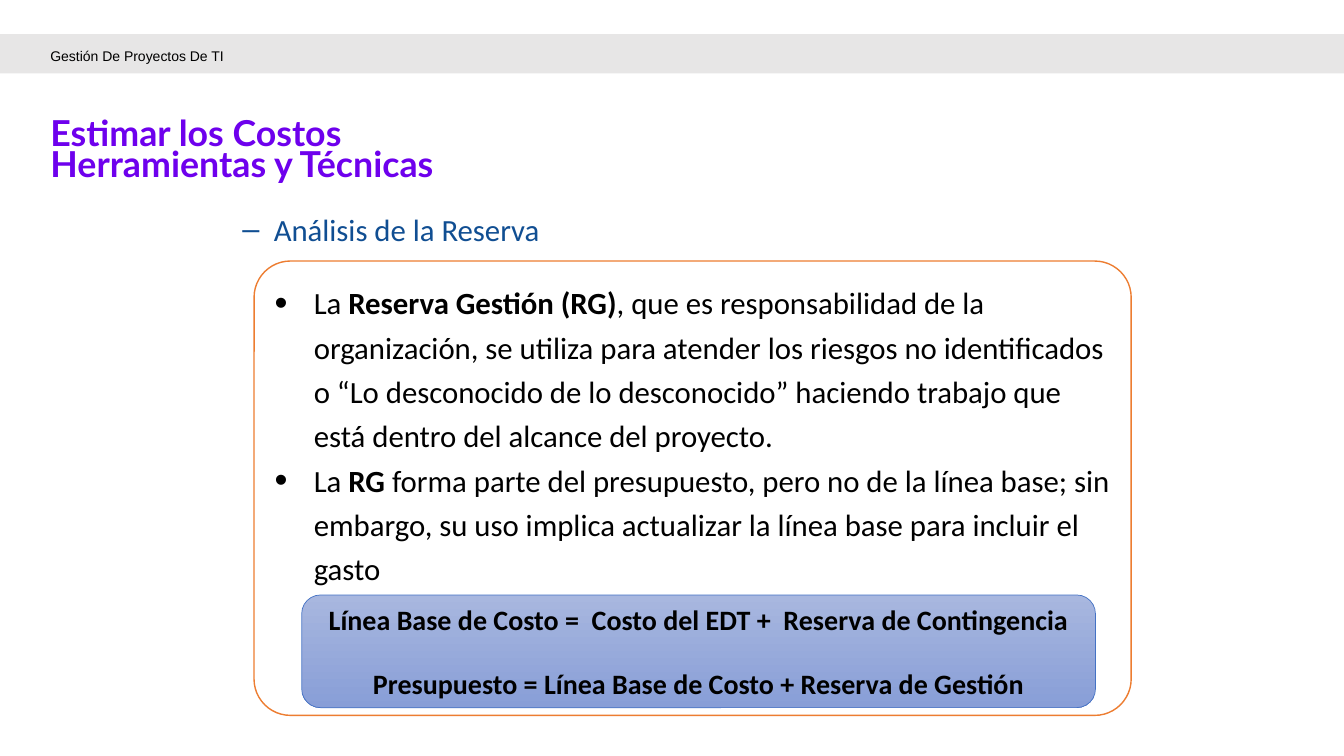
from dataclasses import dataclass

from pptx import Presentation
from pptx.dml.color import RGBColor
from pptx.enum.shapes import MSO_SHAPE as Shape
from pptx.enum.text import MSO_ANCHOR as Anchor, MSO_AUTO_SIZE as AutoSize, PP_ALIGN as Align
from pptx.oxml.ns import qn
from pptx.util import Pt
from lxml.etree import SubElement


@dataclass(frozen=True)
class Theme:
    body_font: str = "Calibri"
    title_font: str = "Lato"
    header_font: str = "Arial"
    title_size: float = 25.5
    body_size: float = 22
    formula_size: float = 20
    header_size: float = 10
    black: str = "000000"
    white: str = "FFFFFF"
    band: str = "E7E6E6"
    purple: str = "6E00ED"
    navy: str = "104E92"
    orange: str = "ED7D31"
    blue: str = "4472C4"
    gradient: tuple = ("A8B7DF", "889ED7")


class SlideBuilder:
    def __init__(self, slide, theme):
        self.slide = slide
        self.theme = theme

    def title(self, box, lines):
        shape = self.slide.shapes.title
        shape.left, shape.top, shape.width, shape.height = (Pt(length) for length in box)
        self.set_text(shape, lines, self.theme.title_font, self.theme.title_size,
                      self.theme.purple, bold=True, spacing=0.4, before=10,
                      anchor=Anchor.MIDDLE, inset=False)

    def text_box(self, box, lines, *style, **options):
        shape = self.slide.shapes.add_textbox(*(Pt(length) for length in box))
        self.set_text(shape, lines, *style, **options)

    def panel(self, kind, box, fill, line=None, line_width=1, corner=None):
        shape = self.slide.shapes.add_shape(kind, *(Pt(length) for length in box))
        shape.shadow.inherit = False
        if corner is not None:
            shape.adjustments[0] = corner
        if isinstance(fill, tuple):
            shape.fill.gradient()
            shape.fill.gradient_angle = 270
            for position, (stop, color) in enumerate(zip(shape.fill.gradient_stops, fill)):
                stop.position = position
                stop.color.rgb = RGBColor.from_string(color)
        else:
            shape.fill.solid()
            shape.fill.fore_color.rgb = RGBColor.from_string(fill)
        if line:
            shape.line.color.rgb = RGBColor.from_string(line)
            shape.line.width = Pt(line_width)
        else:
            shape.line.fill.background()
        return shape

    def set_text(self, shape, lines, font, size, color, bold=False, spacing=1.0, before=0,
                 align=Align.LEFT, anchor=Anchor.TOP, inset=True, bullet=None):
        """Each line is a string or a list of (text, bold) runs."""
        frame = shape.text_frame
        frame.word_wrap = True
        frame.auto_size = AutoSize.NONE
        frame.vertical_anchor = anchor
        if not inset:
            frame.margin_left = frame.margin_right = frame.margin_top = frame.margin_bottom = 0
        for index, line in enumerate(lines):
            paragraph = frame.paragraphs[0] if index == 0 else frame.add_paragraph()
            if bullet:
                self.bullet(paragraph, *bullet)
            paragraph.alignment = align
            paragraph.line_spacing = spacing
            paragraph.space_before = Pt(before if index else 0)
            paragraph.font.name = font
            paragraph.font.size = Pt(size)
            paragraph.font.color.rgb = RGBColor.from_string(color)
            if isinstance(line, str):
                paragraph.font.bold = bold
                paragraph.add_run().text = line
            else:
                for text, strong in line:
                    run = paragraph.add_run()
                    run.text = text
                    run.font.bold = strong

    def bullet(self, paragraph, symbol, margin, hanging, percent):
        properties = paragraph._p.get_or_add_pPr()
        properties.set("marL", str(Pt(margin)))
        properties.set("indent", str(-Pt(hanging)))
        SubElement(properties, qn("a:buSzPct")).set("val", str(percent * 1000))
        SubElement(properties, qn("a:buFont")).set("typeface", "Arial")
        SubElement(properties, qn("a:buChar")).set("char", symbol)


def main():
    presentation = Presentation()
    presentation.slide_width, presentation.slide_height = Pt(960), Pt(540)
    slide = presentation.slides.add_slide(presentation.slide_layouts[5])
    theme = Theme()
    builder = SlideBuilder(slide, theme)

    # Header band and title
    builder.panel(Shape.RECTANGLE, (0, 24.5, 960, 28), theme.band)
    builder.title((36, 93.6, 431, 37.4), ["Estimar los Costos", "Herramientas y Técnicas"])
    builder.text_box((36, 28, 295, 23), ["Gestión De Proyectos De TI"],
                     theme.header_font, theme.header_size, theme.black, spacing=1.5, inset=False)

    # Management reserve panel
    reserve = builder.panel(Shape.ROUNDED_RECTANGLE, (181.5, 186.5, 626.5, 324.5),
                            theme.white, theme.orange, corner=0.08)
    builder.set_text(reserve, [
        [("La ", False), ("Reserva Gestión (RG)", True),
         (", que es responsabilidad de la organización, se utiliza para atender los riesgos no "
          "identificados o “Lo desconocido de lo desconocido” haciendo trabajo que está dentro "
          "del alcance del proyecto.", False)],
        [("La ", False), ("RG", True),
         (" forma parte del presupuesto, pero no de la línea base; sin embargo, su uso implica "
          "actualizar la línea base para incluir el gasto", False)],
    ], theme.body_font, theme.body_size, theme.black, spacing=1.2, bullet=("•", 28, 28, 120))

    # Formulas
    formulas = builder.panel(Shape.ROUNDED_RECTANGLE, (215.5, 425, 567, 80.5),
                             theme.gradient, theme.blue, line_width=0.5)
    builder.set_text(formulas, [
        "Línea Base de Costo =  Costo del EDT +  Reserva de Contingencia",
        "Presupuesto = Línea Base de Costo + Reserva de Gestión",
    ], theme.body_font, theme.formula_size, theme.black, bold=True, before=22,
        align=Align.CENTER, anchor=Anchor.MIDDLE)

    # Topic heading
    builder.text_box((130, 152, 618, 382), ["Análisis de la Reserva"],
                     theme.body_font, theme.body_size, theme.navy, spacing=0.8,
                     align=Align.JUSTIFY, bullet=("–", 58.5, 22.5, 100))

    presentation.save("out.pptx")


if __name__ == "__main__":
    main()
